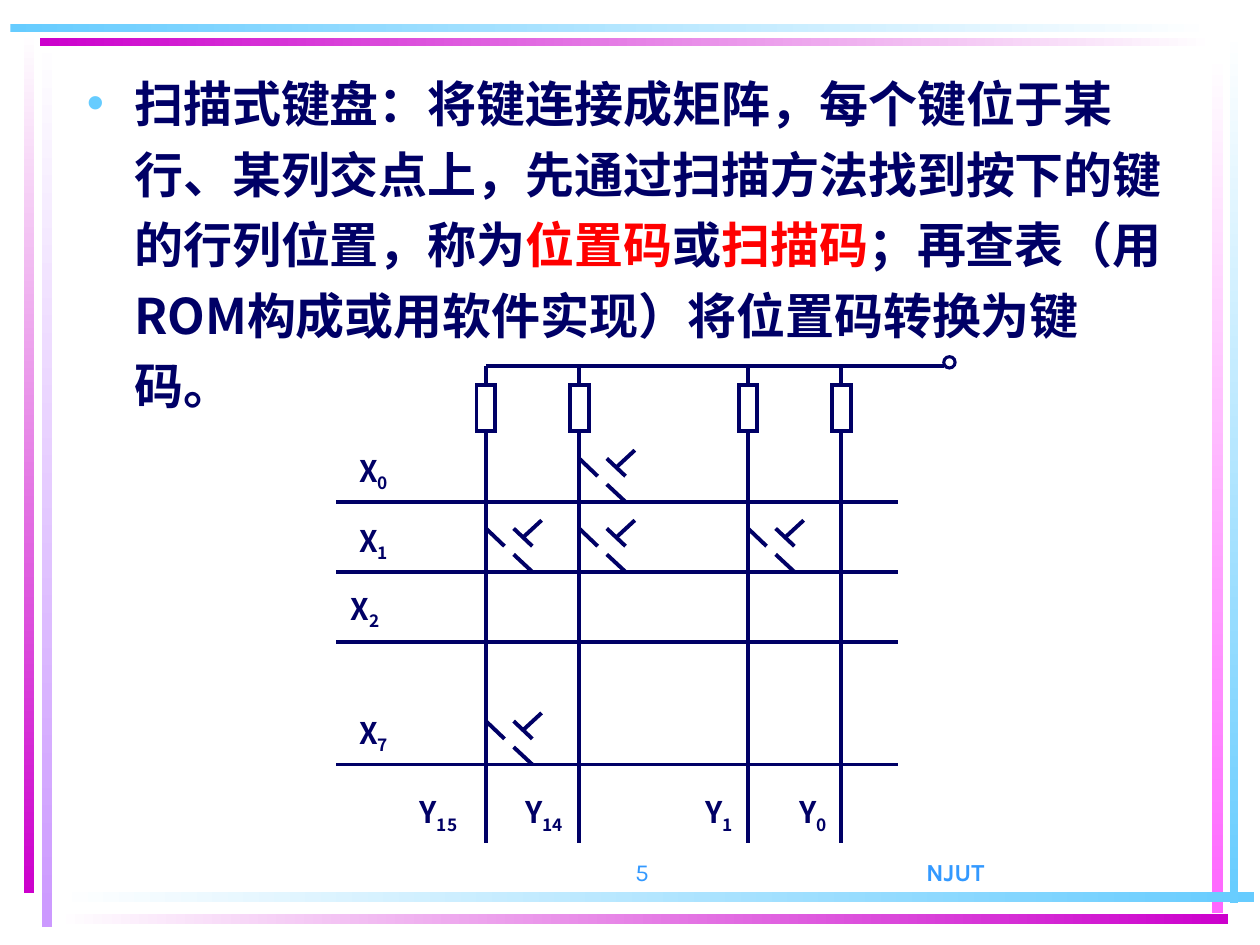
import pptx
import pptx.util
import pptx.dml.color
import pptx.enum.shapes
import pptx.enum.text
import pptx.oxml.ns
from lxml import etree

Pt = pptx.util.Pt
RGB = pptx.dml.color.RGBColor
SHAPE = pptx.enum.shapes.MSO_SHAPE
ALIGN = pptx.enum.text.PP_ALIGN
ANCHOR = pptx.enum.text.MSO_ANCHOR
qn = pptx.oxml.ns.qn

NAVY = RGB(0x00, 0x00, 0x66)
RED = RGB(0xFF, 0x00, 0x00)
BLUE = RGB(0x33, 0x99, 0xFF)
SKY = RGB(0x66, 0xCC, 0xFF)
MAGENTA = RGB(0xCC, 0x00, 0xCC)
PINK = RGB(0xFF, 0x66, 0xFF)
LILAC = RGB(0xCC, 0x99, 0xFF)
WHITE = RGB(0xFF, 0xFF, 0xFF)

CJK = "Noto Sans CJK SC"
LATIN = "Karla"


def add_run(p, text, size, color, font, bold=True):
    r = p.add_run()
    r.text = text
    r.font.size = Pt(size)
    r.font.bold = bold
    r.font.name = font
    r.font.color.rgb = color
    etree.SubElement(r._r.get_or_add_rPr(), qn("a:ea"), typeface=font)
    return r


def add_text_box(s, box, align, anchor, inset=(7.2, 3.6)):
    """Add an empty text box and return its first paragraph."""
    tf = s.shapes.add_textbox(*map(Pt, box)).text_frame
    tf.word_wrap = True
    tf.vertical_anchor = anchor
    tf.margin_left = tf.margin_right = Pt(inset[0])
    tf.margin_top = tf.margin_bottom = Pt(inset[1])
    p = tf.paragraphs[0]
    p.alignment = align
    return p


def add_wire(s, x1, y1, x2, y2):
    c = s.shapes.add_connector(pptx.enum.shapes.MSO_CONNECTOR.STRAIGHT,
                               Pt(x1), Pt(y1), Pt(x2), Pt(y2))
    c.line.color.rgb = NAVY
    c.line.width = Pt(2.25)
    etree.SubElement(c._element.spPr, qn("a:effectLst"))


def add_outline(s, kind, box, width):
    sp = s.shapes.add_shape(kind, *map(Pt, box))
    sp.shadow.inherit = False
    sp.fill.background()
    sp.line.color.rgb = NAVY
    sp.line.width = Pt(width)
    etree.SubElement(sp._element.spPr.find(qn("a:ln")), qn("a:miter"), lim="800000")


def add_frame(s, left, top, width, height):
    """Place the fading bars along the four edges of the box."""
    right, bottom = left + width, top + height
    bars = [
        (left + 23.8, top + 20.2, 5.8, 509.8, WHITE, LILAC),
        (left + 13.7, top + 18, 5.8, 492.5, WHITE, MAGENTA),
        (right - 17.3, top + 17.3, 5, 499, WHITE, SKY),
        (right - 27.4, top + 30.2, 6.5, 491.8, WHITE, PINK),
        (left + 32.4, bottom - 30.2, 684, 5.8, WHITE, SKY),
        (left + 32.4, bottom - 18, 669.6, 5.8, WHITE, MAGENTA),
        (left + 23, top + 22, 671, 4.3, MAGENTA, WHITE),
        (left + 6, top + 13.6, 688.3, 5, SKY, WHITE),
    ]
    for x, y, w, h, start, end in bars:
        sp = s.shapes.add_shape(SHAPE.RECTANGLE, Pt(x), Pt(y), Pt(w), Pt(h))
        sp.shadow.inherit = False
        sp.line.fill.background()
        sp.fill.gradient()
        sp.fill.gradient_angle = 270 if h > w else 0
        for stop, color in zip(sp.fill.gradient_stops, (start, end)):
            stop.color.rgb = color


def add_body(s, left, top, width, height):
    sp = s.placeholders[1]
    sp.left, sp.top, sp.width, sp.height = map(Pt, (left, top, width, height))
    tf = sp.text_frame
    tf.auto_size = pptx.enum.text.MSO_AUTO_SIZE.NONE
    p = tf.paragraphs[0]
    pPr = p._p.get_or_add_pPr()
    pPr.set("marL", str(Pt(27)))
    pPr.set("indent", str(-Pt(27)))
    pPr.set("hangingPunct", "0")
    clr = etree.SubElement(pPr, qn("a:buClr"))
    etree.SubElement(clr, qn("a:srgbClr"), val=str(SKY))
    etree.SubElement(pPr, qn("a:buChar"), char="•")
    p.line_spacing = 1.2
    p.space_before = Pt(0)
    for text, color in [
        ("扫描式键盘：将键连接成矩阵，每个键位于某行、某列交点上，"
         "先通过扫描方法找到按下的键的行列位置，称为", NAVY),
        ("位置码", RED),
        ("或", NAVY),
        ("扫描码", RED),
        ("；再查表（用ROM构成或用软件实现）将位置码转换为键码。", NAVY),
    ]:
        add_run(p, text, 28, color, CJK)


def add_label(s, box, letter, index):
    p = add_text_box(s, box, ALIGN.CENTER, ANCHOR.MIDDLE, (0, 0))
    p.line_spacing = 0.9
    add_run(p, letter, 17, NAVY, CJK)
    r = add_run(p, index, 17, NAVY, CJK)
    r._r.get_or_add_rPr().set("baseline", "-25000")


def add_switch(s, x, y):
    """Draw a key at the crossing of the column at x and the row at y."""
    for x1, y1, x2, y2 in [(0, -24.8, 10.6, -14.7), (15.8, -10, 26.5, 0),
                           (15.8, -24.8, 26.5, -14.7), (21, -19.5, 31.8, -29.5)]:
        add_wire(s, x + x1, y + y1, x + x2, y + y2)


def add_key_matrix(s, left, top, width, height):
    supply_y = top + 5.4
    resistor_y, resistor_w, resistor_h = top + 16.2, 10.8, 26.3
    label_h, terminal = 25.2, 6.5

    # index, line position, label offset from the left edge, label width
    columns = [("15", 85.5, 38.9, 38.9), ("14", 138.75, 99.6, 38.2),
               ("1", 235.25, 208.1, 21.6), ("0", 288.5, 261.8, 21.6)]
    # index, line position, label offsets from the left and top edges
    rows = [("0", 83, 10.5, 53), ("1", 123, 10.5, 92.8),
            ("2", 163, 5.5, 131.7), ("7", 233.1, 10.5, 202.6)]
    col_x = [left + c[1] for c in columns]
    row_y = [top + r[1] for r in rows]

    add_wire(s, col_x[0], supply_y, left + width - terminal, supply_y)
    add_outline(s, SHAPE.FLOWCHART_CONNECTOR,
                (left + width - terminal, top, terminal, terminal), 1.75)
    for x, (index, _, label_x, label_w) in zip(col_x, columns):
        add_wire(s, x, supply_y, x, resistor_y)
        add_outline(s, SHAPE.RECTANGLE,
                    (x - resistor_w / 2, resistor_y, resistor_w, resistor_h), 2.25)
        add_wire(s, x, resistor_y + resistor_h, x, top + height)
        add_label(s, (left + label_x, top + 248, label_w, label_h), "Y", index)
    for y, (index, _, label_x, label_y) in zip(row_y, rows):
        add_wire(s, left, y, left + 320.7, y)
        add_label(s, (left + label_x, top + label_y, 21.6, label_h), "X", index)
    for col, row in [(1, 0), (0, 1), (1, 1), (2, 1), (0, 3)]:
        add_switch(s, col_x[col], row_y[row])


def add_footer(s, left, top, width, height):
    p = add_text_box(s, (left, top, 149.7, height), ALIGN.RIGHT, ANCHOR.BOTTOM)
    add_run(p, "5", 14, BLUE, LATIN, bold=False)
    p = add_text_box(s, (left + width - 252, top, 252, height), ALIGN.CENTER, ANCHOR.BOTTOM)
    add_run(p, "NJUT", 14, BLUE, LATIN)


def main():
    prs = pptx.Presentation()
    prs.slide_width, prs.slide_height = Pt(720), Pt(540)
    s = prs.slides.add_slide(prs.slide_layouts[1])
    title = s.shapes.title._element
    title.getparent().remove(title)
    add_frame(s, 0, 0, 720, 540)
    add_body(s, 42.5, 31.7, 635, 454.3)
    add_key_matrix(s, 192.2, 203.8, 353.6, 278)
    add_footer(s, 228.2, 473.8, 443.7, 36)
    prs.save("out.pptx")


if __name__ == "__main__":
    main()
